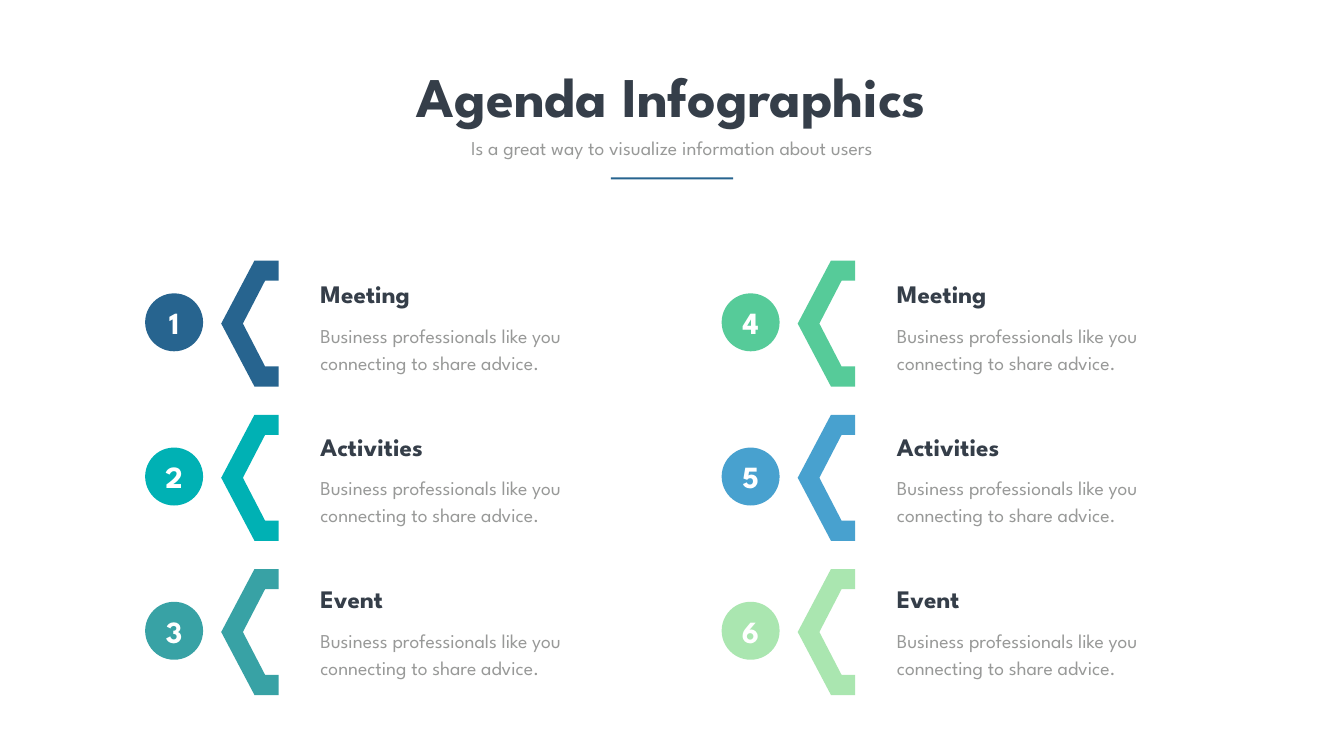
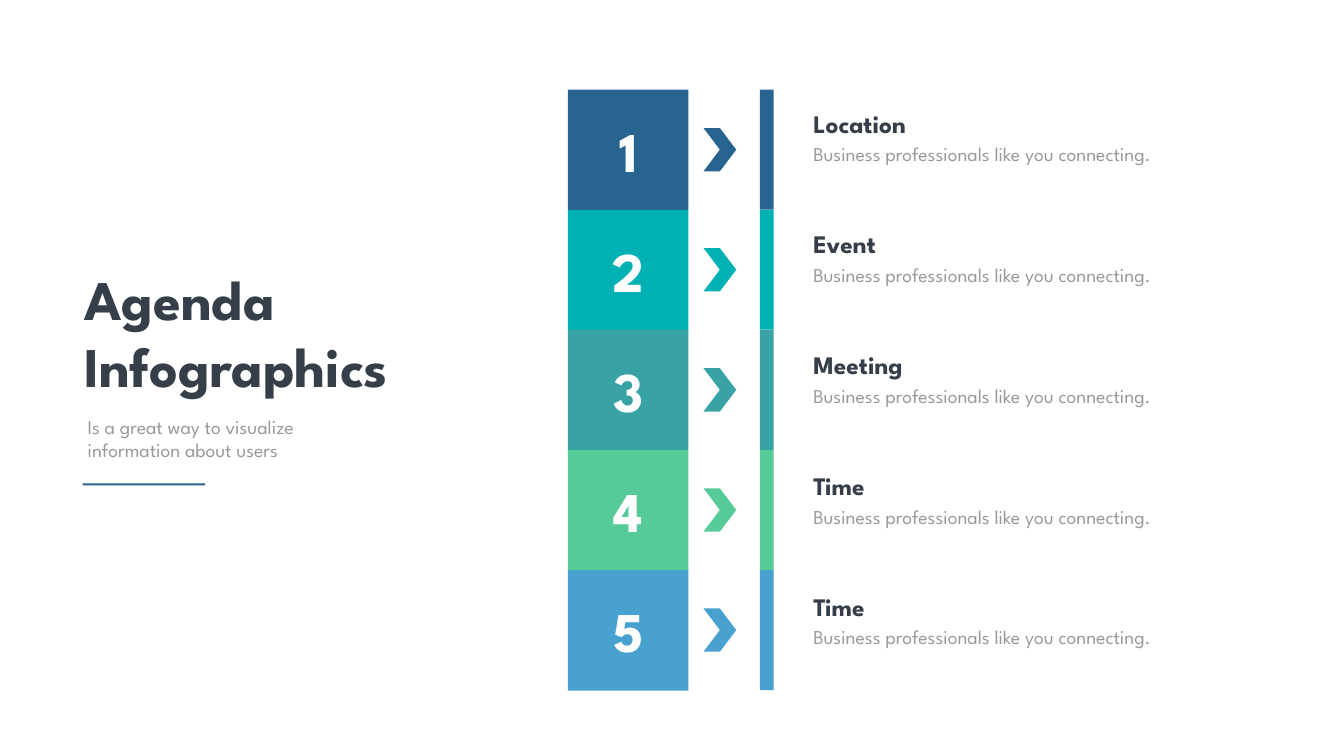
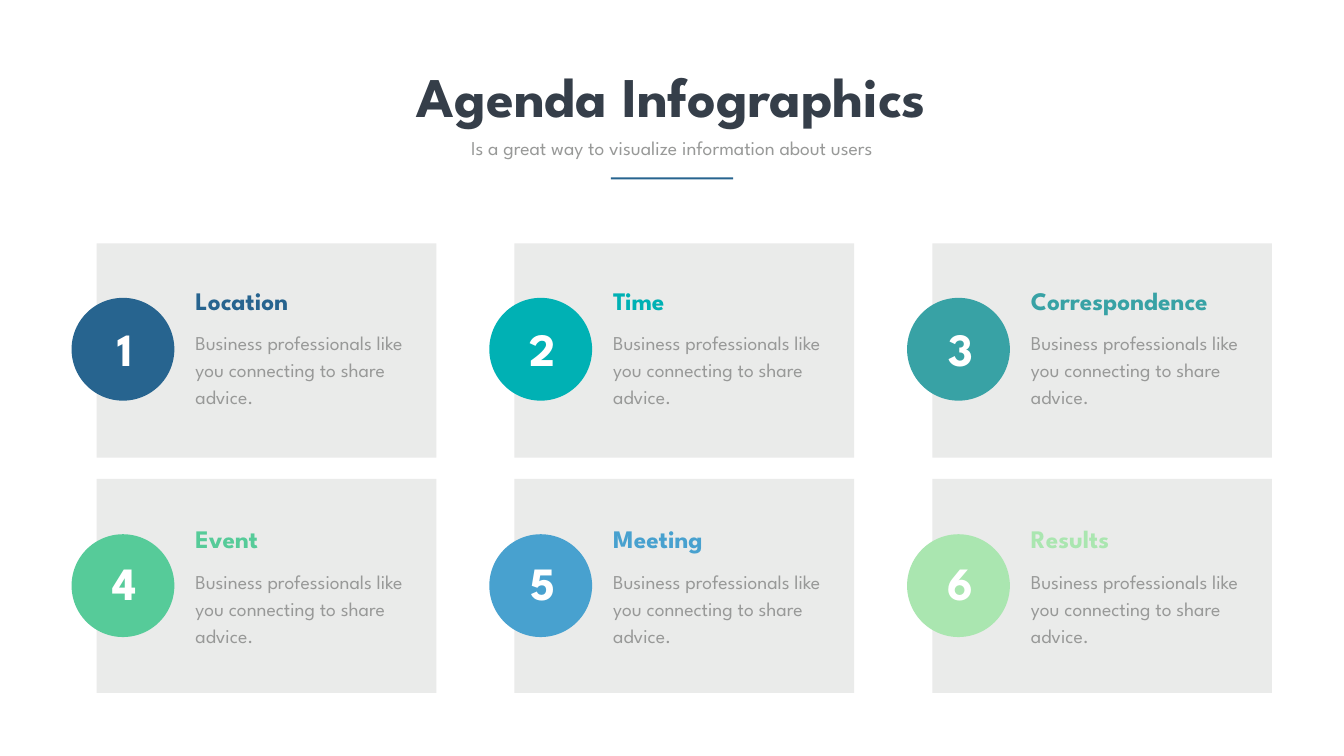
"""Build three agenda slides with numbered steps."""
import pptx
import pptx.util
import pptx.dml.color
import pptx.enum.shapes
import pptx.enum.text

Inches = pptx.util.Inches
Pt = pptx.util.Pt
RGBColor = pptx.dml.color.RGBColor
SHAPE = pptx.enum.shapes.MSO_SHAPE
ALIGN = pptx.enum.text.PP_ALIGN
ANCHOR = pptx.enum.text.MSO_ANCHOR
FIT = pptx.enum.text.MSO_AUTO_SIZE.SHAPE_TO_FIT_TEXT

NAVY = RGBColor(0x27, 0x64, 0x8F)
TEAL = RGBColor(0x00, 0xB1, 0xB4)
SEA = RGBColor(0x38, 0xA2, 0xA5)
GREEN = RGBColor(0x56, 0xCB, 0x99)
SKY = RGBColor(0x48, 0xA1, 0xCF)
MINT = RGBColor(0xAA, 0xE6, 0xB0)
INK = RGBColor(0x35, 0x3E, 0x49)
GRAY = RGBColor(0x98, 0x99, 0x98)
PALE = RGBColor(0xEA, 0xEB, 0xEA)
WHITE = RGBColor(0xFF, 0xFF, 0xFF)
COLORS = [NAVY, TEAL, SEA, GREEN, SKY, MINT]

FONT = "League Spartan"
TAGLINE = "Is a great way to visualize information about users"
SHORT = "Business professionals like you connecting."
LONG = "Business professionals like you connecting to share advice."
HOOK = [(0, 1.25), (0.66, 2.5), (1.14, 2.5), (1.14, 2.1), (0.87, 2.1),
        (0.43, 1.25), (0.87, 0.4), (1.14, 0.4), (1.14, 0), (0.66, 0)]


class Deck:
    def __init__(self):
        self.prs = pptx.Presentation()
        self.prs.slide_width = Inches(26.67)
        self.prs.slide_height = Inches(15)
        self.slide = None

    def style(self, frame, text, size, color, bold=True, align=ALIGN.LEFT, lead=None):
        frame.text = text
        for para in frame.paragraphs:
            para.alignment = align
            if lead:
                para.line_spacing = Pt(lead)
            for run in para.runs:
                run.font.name = FONT
                run.font.size = Pt(size)
                run.font.bold = bold
                run.font.color.rgb = color

    def place(self, item, box):
        item.left, item.top, item.width, item.height = map(Inches, box)

    def start(self, text, box, align=ALIGN.LEFT, wrap=True):
        self.slide = self.prs.slides.add_slide(self.prs.slide_layouts[5])
        title = self.slide.shapes.title
        self.place(title, box)
        frame = title.text_frame
        self.style(frame, text, 80, INK, align=align)
        frame.word_wrap = wrap
        frame.auto_size = FIT
        frame.vertical_anchor = ANCHOR.TOP

    def header(self):
        self.start("Agenda Infographics", (7.47, 1.17, 11.72, 1.45), ALIGN.CENTER, False)
        self.text(TAGLINE, (8.55, 2.65, 9.56, 0.57), 28, GRAY, bold=False, align=ALIGN.CENTER)
        self.rule(12.12, 3.52)

    def text(self, text, box, size, color, wrap=True, **look):
        frame = self.slide.shapes.add_textbox(*map(Inches, box)).text_frame
        self.style(frame, text, size, color, **look)
        frame.word_wrap = wrap
        frame.auto_size = FIT

    def head(self, text, box, color=INK):
        self.text(text, box, 36, color)

    def body(self, text, box):
        self.text(text, box, 28, GRAY, bold=False, lead=38.6)

    def paint(self, shape, color):
        shape.shadow.inherit = False
        shape.fill.solid()
        shape.fill.fore_color.rgb = color
        shape.line.fill.background()

    def shape(self, kind, box, color, label=None, size=44):
        shape = self.slide.shapes.add_shape(kind, *map(Inches, box))
        self.paint(shape, color)
        if label:
            self.style(shape.text_frame, label, size, WHITE, align=ALIGN.CENTER)
            shape.text_frame.vertical_anchor = ANCHOR.MIDDLE
        return shape

    def rule(self, left, top):
        self.shape(SHAPE.RECTANGLE, (left, top, 2.43, 0.04), NAVY)

    def badge(self, left, top, color, label):
        frame = self.shape(SHAPE.OVAL, (left, top, 1.15, 1.15), color, label).text_frame
        frame.margin_left = frame.margin_right = Inches(0.08)
        frame.margin_top = frame.margin_bottom = Inches(0.1)

    def hook(self, left, top, color):
        spots = [(Inches(left + x), Inches(top + y)) for x, y in HOOK]
        pen = self.slide.shapes.build_freeform(*spots[0])
        pen.add_line_segments(spots[1:], close=True)
        self.paint(pen.convert_to_shape(), color)


def hooks(deck):
    deck.header()
    for i, color in enumerate(COLORS):
        col, row = divmod(i, 3)
        x, y, line = 11.44 * col, 3.06 * row, 3.03 * row
        deck.hook(4.39 + x, 5.17 + y, color)
        deck.badge(2.88 + x, 5.82 + y, color, str(i + 1))
        deck.body(LONG, (6.26 + x, 6.3 + line, 6.08, 1.15))
        deck.head(["Meeting", "Activities", "Event"][row], (6.26 + x, 5.47 + line, 4.89, 0.71))


def tower(deck):
    deck.start("Agenda\nInfographics", (1.57, 5.2, 6.94, 2.79))
    deck.text(TAGLINE, (1.64, 8.18, 5.23, 1.04), 28, GRAY, bold=False)
    deck.rule(1.64, 9.59)
    names = ["Location", "Event", "Meeting", "Time", "Time"]
    for i, (name, color) in enumerate(zip(names, COLORS)):
        y, line = 1.78 + 2.383 * i, 2.4 * i
        deck.shape(SHAPE.RECTANGLE, (15.08, y, 0.27, 2.38), color)
        deck.shape(SHAPE.CHEVRON, (13.96, y + 0.76, 0.65, 0.86), color)
        deck.shape(SHAPE.RECTANGLE, (11.27, y, 2.39, 2.39), color, str(i + 1), 80)
        deck.body(SHORT, (16.04, 2.69 + line, 8.35, 0.6))
        deck.head(name, (16.04, 2.09 + line, 4.1, 0.59))


def cards(deck):
    deck.header()
    names = ["Location", "Time", "Correspondence", "Event", "Meeting", "Results"]
    for i, (name, color) in enumerate(zip(names, COLORS)):
        row, col = divmod(i, 3)
        x, line = 8.29 * col, 4.73 * row
        deck.shape(SHAPE.RECTANGLE, (1.92 + x, 4.83 + 4.67 * row, 6.74, 4.25), PALE)
        deck.shape(SHAPE.OVAL, (1.42 + x, 5.91 + 4.69 * row, 2.04, 2.04), color)
        deck.body(LONG, (3.78 + x, 6.45 + line, 4.75, 1.69))
        deck.head(name, (3.78 + x, 5.61 + line, 4.89, 0.71), color)
        deck.text(str(i + 1), (2.12 + x, 6.3 + 4.64 * row, 0.72, 1.21), 66, WHITE,
                  wrap=False, align=ALIGN.CENTER)


def main():
    deck = Deck()
    hooks(deck)
    tower(deck)
    cards(deck)
    deck.prs.save("out.pptx")


if __name__ == "__main__":
    main()
